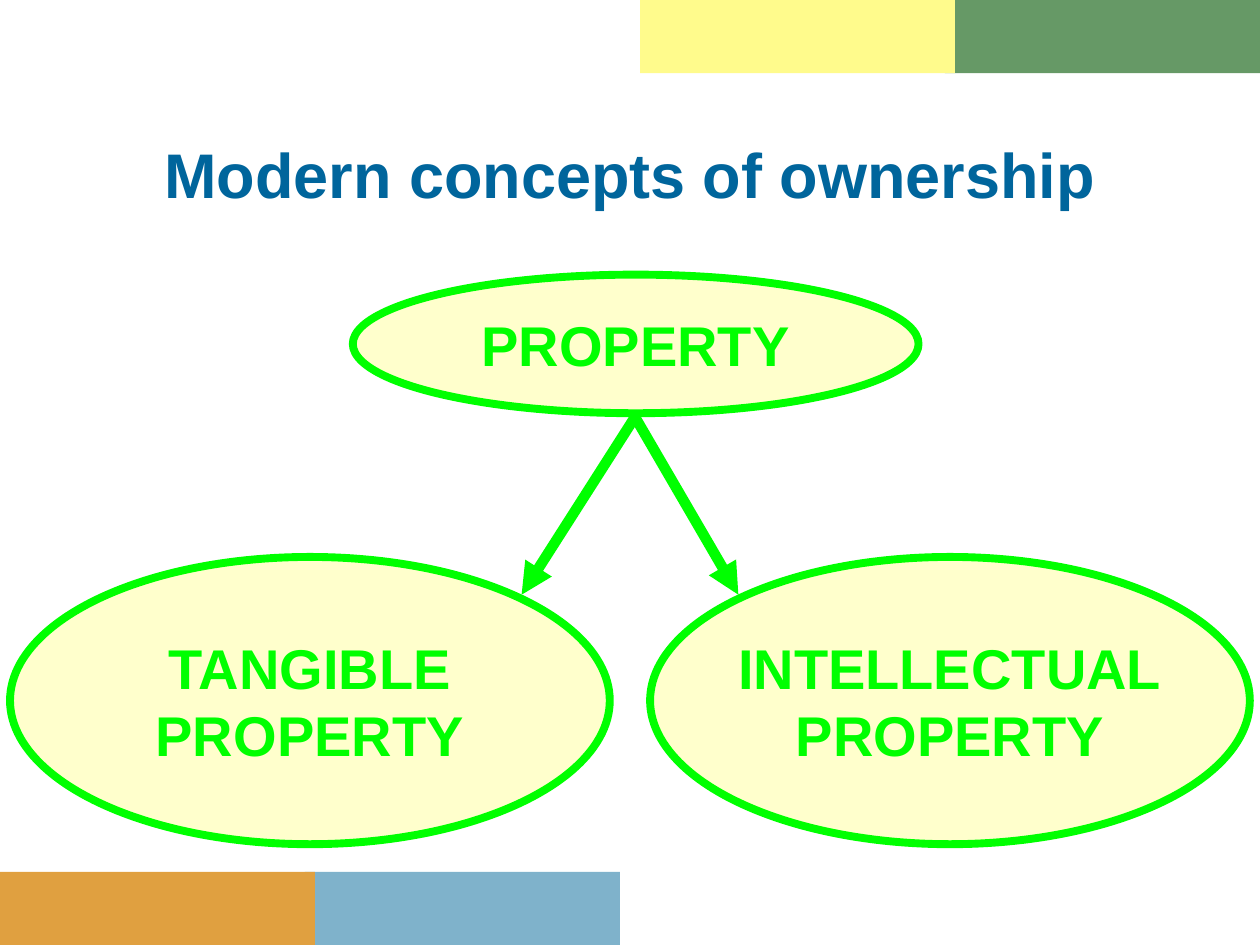
"""Build a slide that splits property into tangible and intellectual property."""
import pptx
import pptx.dml.color
import pptx.enum.shapes
import pptx.enum.text
import pptx.oxml.ns
import pptx.util
from lxml import etree

Inches = pptx.util.Inches
RGBColor = pptx.dml.color.RGBColor
ORANGE = RGBColor(0xE0, 0xA0, 0x40)
SKY = RGBColor(0x7F, 0xB2, 0xCB)
YELLOW = RGBColor(0xFF, 0xFB, 0x8C)
FOREST = RGBColor(0x66, 0x99, 0x66)
NAVY = RGBColor(0x00, 0x65, 0x9C)
CREAM = RGBColor(0xFF, 0xFF, 0xCC)
LIME = RGBColor(0x00, 0xFF, 0x00)


def write_centred(frame, lines, size, color):
    frame.vertical_anchor = pptx.enum.text.MSO_ANCHOR.MIDDLE
    para = frame.paragraphs[0]
    para.alignment = pptx.enum.text.PP_ALIGN.CENTER
    for index, line in enumerate(lines):
        if index:
            para.add_line_break()
        span = para.add_run()
        span.text = line
        span.font.name = "Arial"
        span.font.size = pptx.util.Pt(size)
        span.font.bold = True
        span.font.color.rgb = color


def add_filled(page, kind, left, top, width, height, color):
    shape = page.shapes.add_shape(
        kind, Inches(left), Inches(top), Inches(width), Inches(height))
    shape.shadow.inherit = False
    shape.fill.solid()
    shape.fill.fore_color.rgb = color
    shape.line.fill.background()
    return shape


deck = pptx.Presentation()
deck.slide_width = Inches(10)
deck.slide_height = Inches(7.5)
page = deck.slides.add_slide(deck.slide_layouts[5])
shapes = pptx.enum.shapes.MSO_SHAPE

for left, top, color in [(2.42, 6.92, SKY), (0, 6.92, ORANGE),
                         (7.5, 0, FOREST), (5.08, 0, YELLOW)]:
    add_filled(page, shapes.RECTANGLE, left, top, 2.5, 0.58, color)

title = page.shapes.title
title.left, title.top = Inches(0), Inches(0.75)
title.width, title.height = Inches(10), Inches(1.25)
write_centred(title.text_frame, ["Modern concepts of ownership"], 36, NAVY)

concepts = [
    (["PROPERTY"], 2.8, 2.18, 4.49, 1.1),
    (["INTELLECTUAL", "PROPERTY"], 5.16, 4.42, 4.76, 2.28),
    (["TANGIBLE", "PROPERTY"], 0.08, 4.42, 4.76, 2.28),
]
for lines, left, top, width, height in concepts:
    oval = add_filled(page, shapes.OVAL, left, top, width, height, CREAM)
    oval.line.color.rgb = LIME
    oval.line.width = pptx.util.Pt(4.5)
    oval.text_frame.word_wrap = False
    write_centred(oval.text_frame, lines, 32, LIME)

for end_x in (4.14, 5.86):
    arrow = page.shapes.add_connector(
        pptx.enum.shapes.MSO_CONNECTOR.STRAIGHT,
        Inches(5.04), Inches(3.31), Inches(end_x), Inches(4.72))
    arrow.line.color.rgb = LIME
    arrow.line.width = pptx.util.Pt(6)
    outline = arrow.line._get_or_add_ln()
    etree.SubElement(outline, pptx.oxml.ns.qn("a:tailEnd"), type="triangle")
    etree.SubElement(arrow._element.spPr, pptx.oxml.ns.qn("a:effectLst"))

deck.save("out.pptx")
